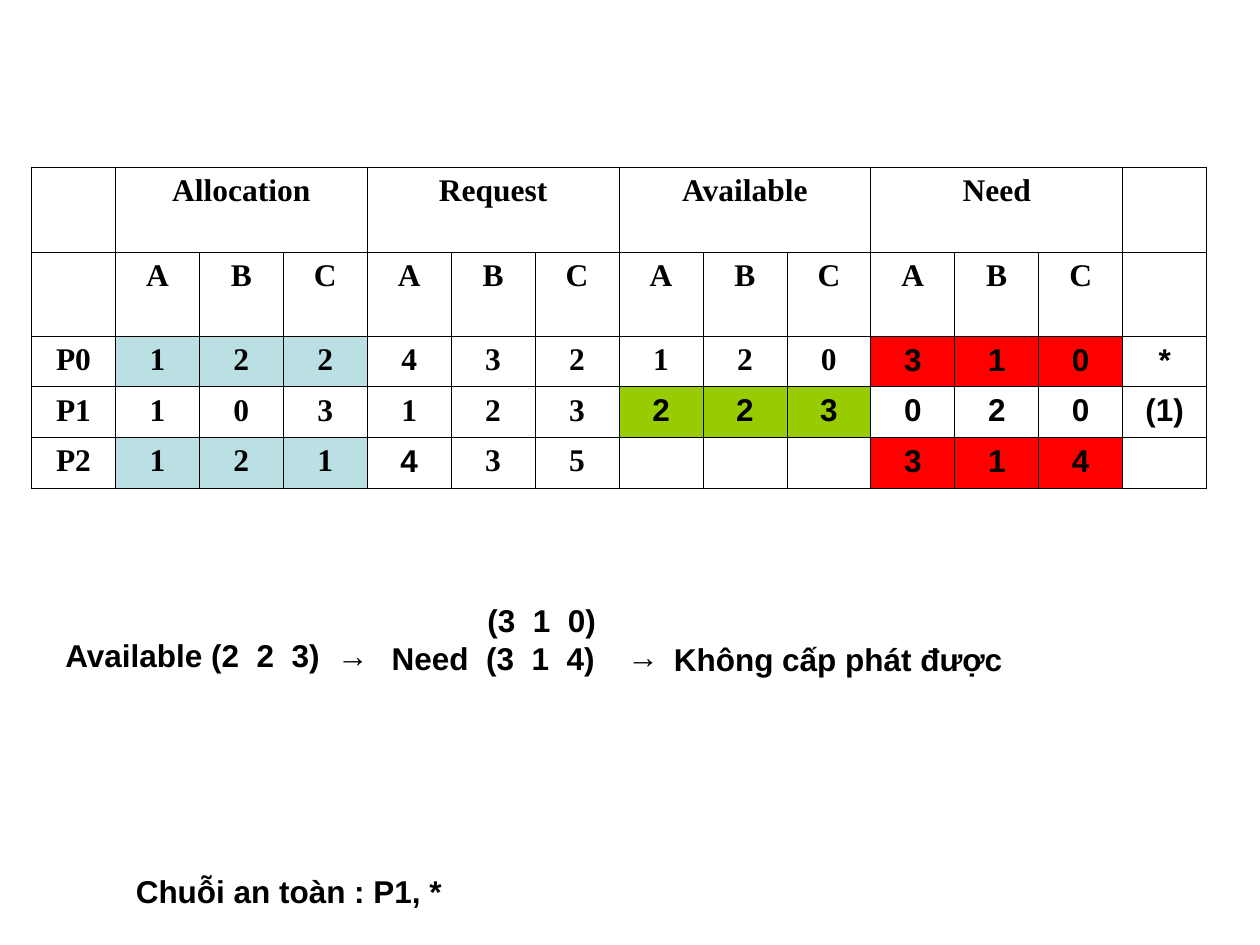
import pptx
import pptx.dml.color
import pptx.enum.text
import pptx.oxml
import pptx.oxml.ns
import pptx.util

Inches = pptx.util.Inches
RGBColor = pptx.dml.color.RGBColor

BLACK = RGBColor(0x00, 0x00, 0x00)
PALE_BLUE = RGBColor(0xBB, 0xE0, 0xE3)
GREEN = RGBColor(0x99, 0xCC, 0x00)
RED = RGBColor(0xFF, 0x00, 0x00)

SERIF = "Times New Roman"
SANS = "Arial"

GROUPS = ["Allocation", "Request", "Available", "Need"]
GROUP_SIZE = 3
COLUMN_COUNT = len(GROUPS) * GROUP_SIZE + 2
PROCESSES = [
    ["P0", "1", "2", "2", "4", "3", "2", "1", "2", "0", "3", "1", "0", "*"],
    ["P1", "1", "0", "3", "1", "2", "3", "2", "2", "3", "0", "2", "0", "(1)"],
    ["P2", "1", "2", "1", "4", "3", "5", "", "", "", "3", "1", "4", ""],
]
ROW_HEIGHTS = [0.67, 0.67, 0.4, 0.4, 0.4, 0.4]
GROUP_FILLS = {
    (2, "Allocation"): PALE_BLUE,
    (2, "Need"): RED,
    (3, "Available"): GREEN,
    (4, "Allocation"): PALE_BLUE,
    (4, "Need"): RED,
}
NOTES = [
    (0.42, 5, 2.62, 0.4, [("Available (2  2  3)  →", 0)]),
    (3.01, 4.72, 1.82, 0.7, [("(3  1  0)", 0.76), ("Need  (3  1  4)", 0)]),
    (4.88, 5.01, 0.45, 0.4, [("→", 0)]),
    (5.25, 5.03, 2.81, 0.4, [("Không cấp phát được", 0)]),
    (0.98, 6.87, 2.7, 0.4, [("Chuỗi an toàn : P1, *", 0)]),
]


def add_run(paragraph, text, font_name):
    """Add a bold black run to a paragraph."""
    run = paragraph.add_run()
    run.text = text
    run.font.name = font_name
    run.font.size = pptx.util.Pt(18)
    run.font.bold = True
    run.font.color.rgb = BLACK


def set_borders(cell, visible_sides):
    """Draw thin lines on the given sides of a cell and none on the others."""
    properties = cell._tc.get_or_add_tcPr()
    namespace = pptx.oxml.ns.nsdecls("a")
    for position, side in enumerate("LRTB"):
        paint = "<a:noFill/>"
        if side in visible_sides:
            paint = f'<a:solidFill><a:srgbClr val="{BLACK}"/></a:solidFill>'
        line = f'<a:ln{side} {namespace} w="{pptx.util.Pt(0.45)}">{paint}</a:ln{side}>'
        properties.insert(position, pptx.oxml.parse_xml(line))


def group_of(column):
    """Return the resource group above a column, if it has one."""
    index = (column - 1) // GROUP_SIZE
    return GROUPS[index] if 0 <= index < len(GROUPS) else None


def font_for(row, column):
    """Return the font of a table cell."""
    if row < 2:
        return SERIF
    computed = column >= COLUMN_COUNT - 1 - GROUP_SIZE
    available = (row, group_of(column)) == (3, "Available")
    return SANS if computed or available or (row, column) == (4, 4) else SERIF


def table_rows():
    """Return the wording of every table row."""
    headings = [""]
    for group in GROUPS:
        headings += [group] + [""] * (GROUP_SIZE - 1)
    resources = ["", *("ABC" * len(GROUPS)), ""]
    return [headings + [""], resources, *PROCESSES, [""] * COLUMN_COUNT]


def format_cell(cell, row, column, text):
    """Fill one table cell with its text, colour and borders."""
    fill_colour = GROUP_FILLS.get((row, group_of(column)))
    if fill_colour is None:
        cell.fill.background()
    else:
        cell.fill.solid()
        cell.fill.fore_color.rgb = fill_colour
    set_borders(cell, "T" if row == len(ROW_HEIGHTS) - 1 else "LRTB")
    if text:
        paragraph = cell.text_frame.paragraphs[0]
        paragraph.alignment = pptx.enum.text.PP_ALIGN.CENTER
        add_run(paragraph, text, font_for(row, column))


def add_allocation_table(slide):
    """Add the resource allocation table."""
    width = Inches(9.33)
    frame = slide.shapes.add_table(
        len(ROW_HEIGHTS), COLUMN_COUNT,
        Inches(0.25), Inches(1.33), width, Inches(sum(ROW_HEIGHTS)),
    )
    table = frame.table
    table.first_row = False
    table.horz_banding = False
    for column in table.columns:
        column.width = width // COLUMN_COUNT
    for row, height in zip(table.rows, ROW_HEIGHTS):
        row.height = Inches(height)
    for first in range(1, COLUMN_COUNT - 1, GROUP_SIZE):
        table.cell(0, first).merge(table.cell(0, first + GROUP_SIZE - 1))
    for row, texts in enumerate(table_rows()):
        for column, text in enumerate(texts):
            format_cell(table.cell(row, column), row, column, text)


def add_note(slide, left, top, width, height, lines):
    """Add an unwrapped text box with one paragraph per indented line."""
    shape = slide.shapes.add_textbox(
        Inches(left), Inches(top), Inches(width), Inches(height)
    )
    text_frame = shape.text_frame
    text_frame.word_wrap = False
    text_frame.auto_size = pptx.enum.text.MSO_AUTO_SIZE.SHAPE_TO_FIT_TEXT
    for index, (text, indent) in enumerate(lines):
        paragraph = text_frame.add_paragraph() if index else text_frame.paragraphs[0]
        if indent:
            paragraph._p.get_or_add_pPr().set("marL", str(Inches(indent)))
        add_run(paragraph, text, SANS)


def main():
    """Build and save the presentation."""
    presentation = pptx.Presentation()
    presentation.slide_width = Inches(10)
    presentation.slide_height = Inches(7.5)
    slide = presentation.slides.add_slide(presentation.slide_layouts[6])
    add_allocation_table(slide)
    for note in NOTES:
        add_note(slide, *note)
    presentation.save("out.pptx")


if __name__ == "__main__":
    main()
